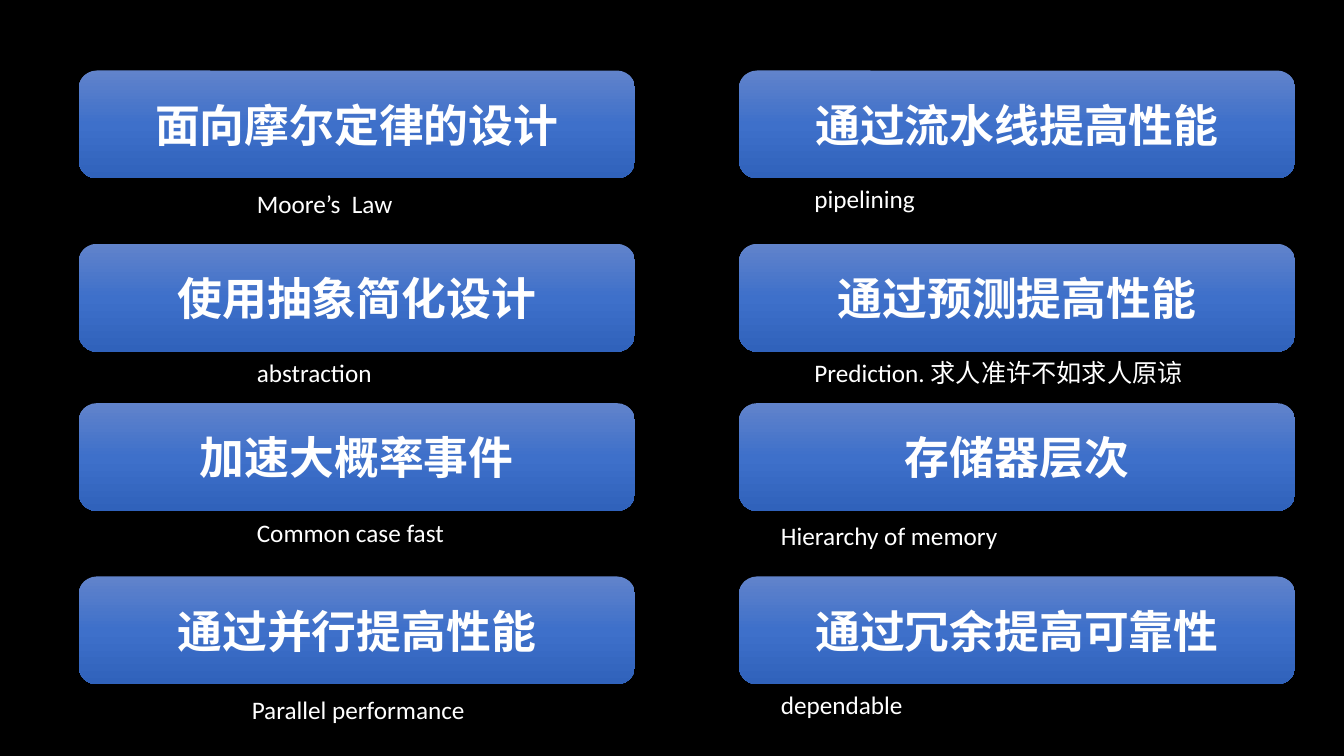
"""Build a slide of eight design ideas, each a card with a short note."""
from copy import deepcopy
from dataclasses import dataclass

from lxml import etree
from pptx import Presentation
from pptx.dml.color import RGBColor
from pptx.enum.shapes import MSO_SHAPE
from pptx.enum.text import MSO_ANCHOR, MSO_AUTO_SIZE, PP_ALIGN
from pptx.oxml.ns import qn
from pptx.shapes.autoshape import Shape
from pptx.slide import Slide
from pptx.text.text import TextFrame
from pptx.util import Pt

ROUND = MSO_SHAPE.ROUNDED_RECTANGLE
MIDDLE = MSO_ANCHOR.MIDDLE
GROW = MSO_AUTO_SIZE.SHAPE_TO_FIT_TEXT
LEFT, CENTER = PP_ALIGN.LEFT, PP_ALIGN.CENTER


@dataclass(frozen=True)
class Theme:
    ground: str = "000000"
    ink: str = "FFFFFF"
    blues: tuple[str, ...] = ("6183CB", "3E70CA", "3062BB")
    head_font: str = "Noto Sans CJK SC"
    note_font: str = "Calibri"
    asian: str = "Noto Sans CJK SC"
    head_size: float = 32
    note_size: float = 18


@dataclass(frozen=True)
class Idea:
    head: str
    note: str
    left: float
    top: float
    width: float = 208.8


THEME = Theme()
COLS = (56.2, 527.8)
ROWS = (50.4, 174.2, 288, 411.8)
CARD_W, CARD_H, NOTE_H = 397.4, 77, 28.8

IDEAS = (
    (
        Idea("面向摩尔定律的设计", "Moore’s  Law", 176.4, 131),
        Idea("使用抽象简化设计", "abstraction", 176.4, 252),
        Idea("加速大概率事件", "Common case fast", 176.4, 365.8),
        Idea("通过并行提高性能", "Parallel performance", 172.8, 492.5),
    ),
    (
        Idea("通过流水线提高性能", "pipelining", 574.6, 127.4),
        Idea("通过预测提高性能", "Prediction. 求人准许不如求人原谅", 574.6, 252, 350.6),
        Idea("存储器层次", "Hierarchy of memory", 550.8, 367.9, 350.6),
        Idea("通过冗余提高可靠性", "dependable", 550.8, 488.9, 350.6),
    ),
)


def write(frame: TextFrame, text: str, font: str, size: float,
          bold: bool, align: PP_ALIGN) -> None:
    frame.word_wrap = True
    line = frame.paragraphs[0]
    line.alignment = align
    run = line.add_run()
    run.text = text
    run.font.name = font
    run.font.size = Pt(size)
    run.font.bold = bold
    run.font.color.rgb = RGBColor.from_string(THEME.ink)
    latin = run.font._element.find(qn("a:latin"))
    asian = etree.Element(qn("a:ea"), typeface=THEME.asian)
    latin.addnext(asian)


def shade(card: Shape) -> None:
    card.fill.gradient()
    card.fill.gradient_angle = 270
    first = next(card._element.spPr.iter(qn("a:gs")))
    first.addnext(deepcopy(first))
    last = len(THEME.blues) - 1
    for rank, (stop, blue) in enumerate(zip(card.fill.gradient_stops, THEME.blues)):
        stop.position = rank / last
        stop.color.rgb = RGBColor.from_string(blue)


def add_card(slide: Slide, text: str, left: float, top: float) -> None:
    card = slide.shapes.add_shape(ROUND, Pt(left), Pt(top), Pt(CARD_W), Pt(CARD_H))
    card.shadow.inherit = False
    card.line.fill.background()
    shade(card)
    card.text_frame.vertical_anchor = MIDDLE
    write(card.text_frame, text, THEME.head_font, THEME.head_size, True, CENTER)


def add_note(slide: Slide, idea: Idea) -> None:
    box = slide.shapes.add_textbox(
        Pt(idea.left), Pt(idea.top), Pt(idea.width), Pt(NOTE_H))
    box.text_frame.auto_size = GROW
    write(box.text_frame, idea.note, THEME.note_font, THEME.note_size, False, LEFT)


def main() -> None:
    deck = Presentation()
    deck.slide_width, deck.slide_height = Pt(960), Pt(540)
    slide = deck.slides.add_slide(deck.slide_layouts[6])
    slide.background.fill.solid()
    slide.background.fill.fore_color.rgb = RGBColor.from_string(THEME.ground)
    for left, group in zip(COLS, IDEAS):
        for top, idea in zip(ROWS, group):
            add_card(slide, idea.head, left, top)
            add_note(slide, idea)
    deck.save("out.pptx")


if __name__ == "__main__":
    main()
